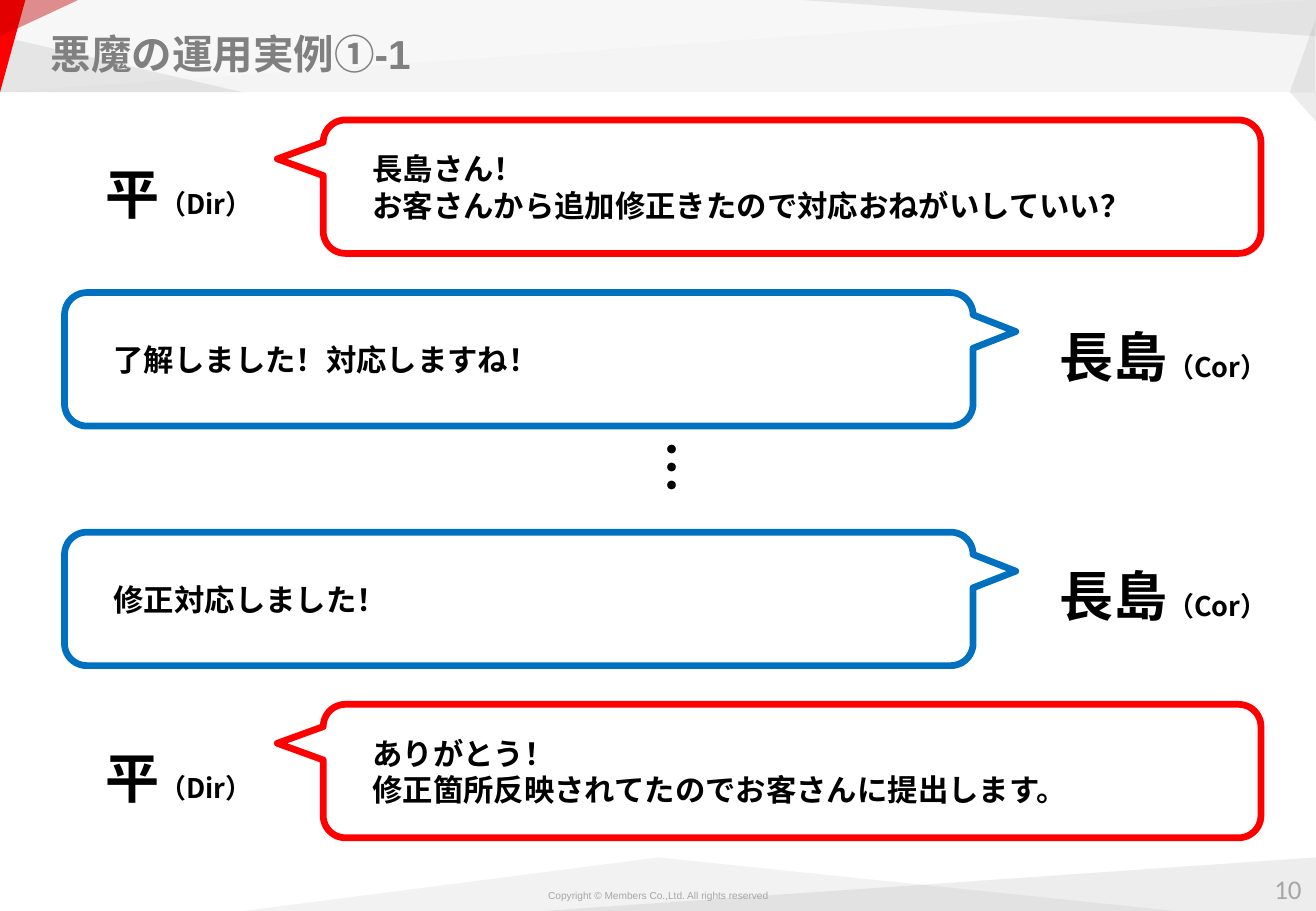
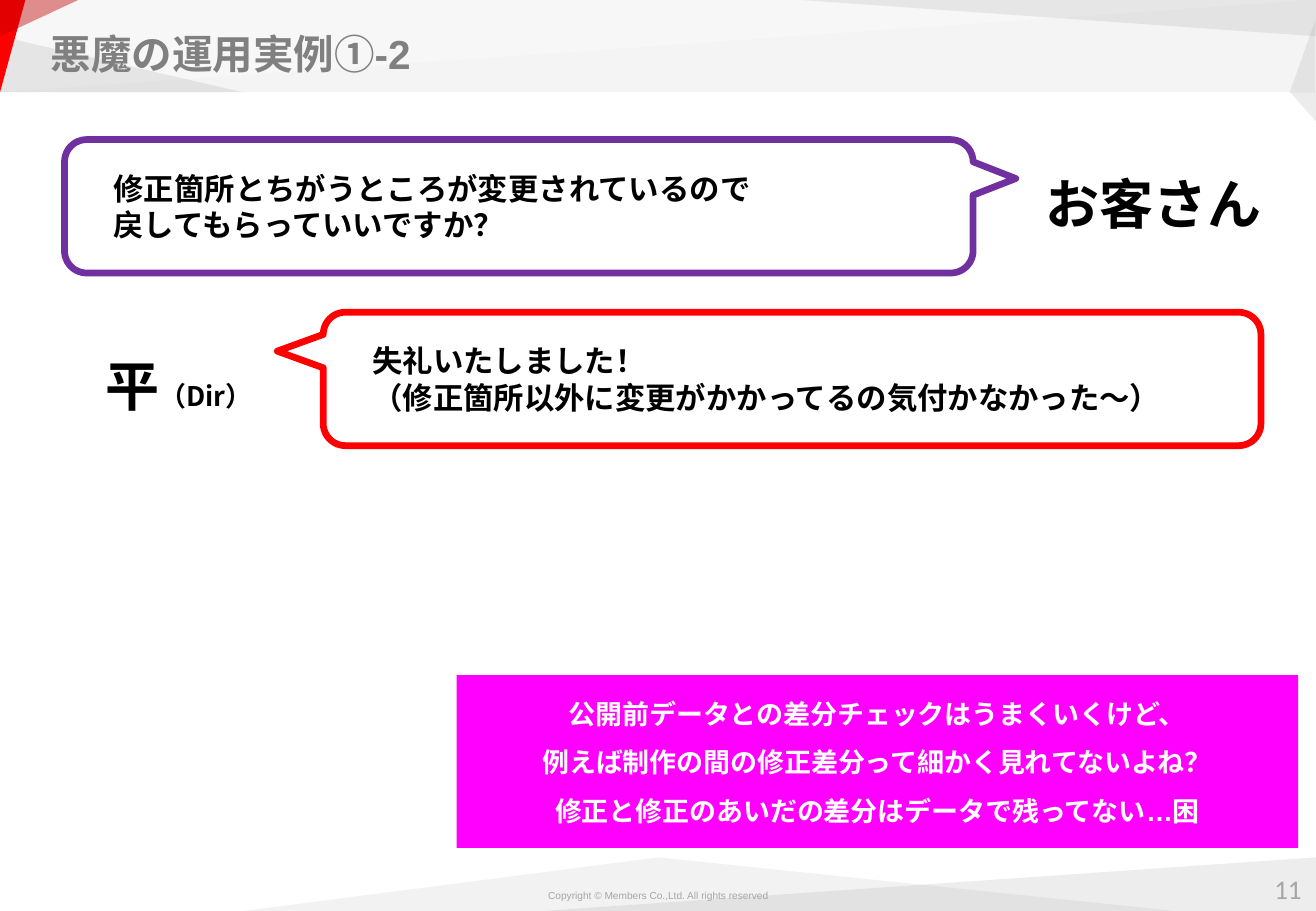
from dataclasses import dataclass

from lxml.etree import SubElement
from pptx import Presentation
from pptx.dml.color import RGBColor
from pptx.enum.shapes import MSO_SHAPE as SHAPE
from pptx.enum.text import MSO_ANCHOR as ANCHOR, MSO_AUTO_SIZE as AUTO, PP_ALIGN as ALIGN
from pptx.oxml.ns import qn
from pptx.util import Cm, Pt

WIDTH, HEIGHT = 27.52, 19.05
BAND_H, FLOOR_Y, FLOOR_H = 1.93, 17.93, 1.12
BUBBLE_H, LABEL_H = 2.79, 1.42
RED, BLUE, PURPLE, MAGENTA = "FF0000", "0070C0", "7030A0", "FF00FF"
BLACK, WHITE, GREY, PALE = "000000", "FFFFFF", "808080", "A6A6A6"
LATIN, JAPANESE, NUMERIC = "Arial", "Noto Sans CJK JP", "Calibri"

TRIANGLES = [
    ((11.37, FLOOR_Y, 16.15, FLOOR_H), GREY, 14, "H", 0),
    ((13.77, FLOOR_Y, 10.8, FLOOR_H), PALE, 14, "", 0),
    ((5.1, FLOOR_Y, 8.67, FLOOR_H), PALE, 14, "H", 0),
    ((0, 0, 20.9, BAND_H), WHITE, 36, "V", 0),
    ((0, 0, WIDTH, BAND_H), "BFBFBF", 12, "V", 0),
    ((0, 0, WIDTH, BAND_H), PALE, 12, "H", 0),
    ((16.73, 0, 10.79, 0.76), GREY, 14, "HV", 0),
    ((26.49, 0.91, 1.5, 0.53), GREY, 14, "", 270),
    ((0, 0.76, 5.08, 1.17), GREY, 15, "", 0),
    ((-0.7, 0.7, BAND_H, 0.53), RED, 100, "", 90),
    ((0.43, -0.43, 0.76, 1.63), "C00000", 43, "", 90),
    ((26.98, BAND_H, 0.54, 0.61), GREY, 15, "HV", 0),
]


@dataclass
class Speaker:
    """One side of the dialogue and how it is drawn."""
    name: str
    role: str
    color: str
    label_x: float
    label_dy: float
    bubble_x: float
    bubble_w: float
    tail: float


DIRECTOR = Speaker("平", "（Dir）", RED, 1.96, 0.81, 6.76, 19.61, -0.549)
CODER = Speaker("長島", "（Cor）", BLUE, 21.9, 0.61, 1.35, 19, 0.547)
CLIENT = Speaker("お客さん", "", PURPLE, 21.62, 0.61, 1.35, 19, 0.547)


def rgb(color):
    """Turn a hex string into a colour."""
    return RGBColor.from_string(color)


def box(x, y, w, h):
    """Turn a frame in centimetres into lengths."""
    return Cm(x), Cm(y), Cm(w), Cm(h)


def add_run(p, text, size, font, color, bold=True):
    """Append a formatted run to a paragraph."""
    r = p.add_run()
    r.text = text
    r.font.size, r.font.bold, r.font.name = Pt(size), bold, font
    r.font.color.rgb = rgb(color)
    SubElement(r._r.get_or_add_rPr(), qn("a:ea"), typeface=font)


def add_lines(tf, lines, size, font, color, align=ALIGN.LEFT, spacing=None, bold=True):
    """Write one paragraph for each line."""
    for i, line in enumerate(lines):
        p = tf.add_paragraph() if i else tf.paragraphs[0]
        p.alignment = align
        if spacing:
            p.line_spacing = spacing
        add_run(p, line, size, font, color, bold)


def set_margins(tf, margin):
    """Give all four sides of a text frame the same margin."""
    tf.margin_left = tf.margin_right = tf.margin_top = tf.margin_bottom = Cm(margin)


def add_filled(slide, kind, frame, fill):
    """Add a flat shape without outline."""
    sp = slide.shapes.add_shape(kind, *box(*frame))
    sp.shadow.inherit = False
    sp.fill.solid()
    sp.fill.fore_color.rgb = rgb(fill)
    sp.line.fill.background()
    return sp


def add_triangle(slide, frame, fill, opacity, flips, rotation):
    """Add a translucent right triangle."""
    sp = add_filled(slide, SHAPE.RIGHT_TRIANGLE, frame, fill)
    sp.rotation = rotation
    for axis in flips:
        sp._element.spPr.xfrm.set(f"flip{axis}", "1")
    if opacity < 100:
        color = sp._element.spPr.find(f"{qn('a:solidFill')}/{qn('a:srgbClr')}")
        SubElement(color, qn("a:alpha"), val=str(opacity * 1000))


def add_small_print(slide, frame, text, size, font):
    """Add a centred grey line for the footer."""
    tf = slide.shapes.add_textbox(*box(*frame)).text_frame
    set_margins(tf, 0)
    tf.word_wrap = False
    add_lines(tf, [text], size, font, PALE, ALIGN.CENTER, bold=False)


def decorate_layout(layout, slide):
    """Build the bands and the copyright line, then hand them to the layout."""
    before = len(slide.shapes)
    for triangle in TRIANGLES:
        add_triangle(slide, *triangle)
    add_small_print(slide, (11.43, 18.59, 4.67, 0.25),
                    "Copyright © Members Co.,Ltd. All rights reserved", 6, LATIN)
    for i, sp in enumerate(list(slide.shapes)[before:]):
        el = sp._element
        el.nvSpPr.cNvPr.set("id", str(100 + i))
        layout.shapes._spTree.insert(2 + i, el)


def add_page(prs, layout, title, number):
    """Add a slide with its title and page number."""
    slide = prs.slides.add_slide(layout)
    sp = slide.shapes.title
    sp.left, sp.top, sp.width, sp.height = box(0.76, 0.3, 25.91, 1.63)
    tf = sp.text_frame
    set_margins(tf, 0.3)
    tf.auto_size, tf.vertical_anchor = AUTO.NONE, ANCHOR.MIDDLE
    add_lines(tf, [title], 24, LATIN, GREY)
    add_small_print(slide, (26.44, 18.24, 0.99, 0.69), number, 16, NUMERIC)
    return slide


def add_label(slide, frame):
    """Add a middle-anchored text box and return it."""
    sp = slide.shapes.add_textbox(*box(*frame))
    sp.text_frame.word_wrap = True
    sp.text_frame.vertical_anchor = ANCHOR.MIDDLE
    return sp


def add_remark(slide, speaker, y, lines):
    """Add a speaker's name and speech bubble."""
    label = add_label(slide, (speaker.label_x, y + speaker.label_dy, 5.6, LABEL_H))
    p = label.text_frame.paragraphs[0]
    add_run(p, speaker.name, 32, JAPANESE, BLACK)
    if speaker.role:
        add_run(p, speaker.role, 16, JAPANESE, BLACK)

    frame = (speaker.bubble_x, y, speaker.bubble_w, BUBBLE_H)
    sp = add_filled(slide, SHAPE.ROUNDED_RECTANGULAR_CALLOUT, frame, WHITE)
    for i, value in enumerate((speaker.tail, -0.208, 0.167)):
        sp.adjustments[i] = value
    sp.line.color.rgb = rgb(speaker.color)
    sp.line.width = Pt(4)
    tf = sp.text_frame
    tf.margin_left = Cm(0.89)
    tf.vertical_anchor = ANCHOR.MIDDLE
    add_lines(tf, lines, 18, LATIN, BLACK)


def add_pause(slide):
    """Add the vertical ellipsis between two exchanges."""
    sp = add_label(slide, (12.47, 9.07, 3.2, LABEL_H))
    sp.rotation = 90
    add_lines(sp.text_frame, ["…"], 32, JAPANESE, BLACK, ALIGN.CENTER)


def add_comment_panel(slide, lines):
    """Add the magenta panel with the closing comment."""
    tf = add_filled(slide, SHAPE.RECTANGLE, (9.55, 14.12, 17.6, 3.61), MAGENTA).text_frame
    tf.vertical_anchor = ANCHOR.TOP
    add_lines(tf, lines, 16, LATIN, WHITE, ALIGN.CENTER, spacing=1.5)


def main():
    """Build and save the two slides."""
    prs = Presentation()
    prs.slide_width, prs.slide_height = Cm(WIDTH), Cm(HEIGHT)
    layout = prs.slide_layouts.get_by_name("Title Only")

    request = add_page(prs, layout, "悪魔の運用実例①-1", "10")
    decorate_layout(layout, request)
    add_remark(request, DIRECTOR, 2.51,
               ["長島さん！", "お客さんから追加修正きたので対応おねがいしていい？"])
    add_remark(request, CODER, 6.12, ["了解しました！対応しますね！"])
    add_pause(request)
    add_remark(request, CODER, 11.13, ["修正対応しました！"])
    add_remark(request, DIRECTOR, 14.73,
               ["ありがとう！", "修正箇所反映されてたのでお客さんに提出します。"])

    complaint = add_page(prs, layout, "悪魔の運用実例①-2", "11")
    add_remark(complaint, CLIENT, 2.92,
               ["修正箇所とちがうところが変更されているので", "戻してもらっていいですか？"])
    add_remark(complaint, DIRECTOR, 6.53,
               ["失礼いたしました！", "（修正箇所以外に変更がかかってるの気付かなかった～）"])
    add_comment_panel(complaint, [
        "公開前データとの差分チェックはうまくいくけど、",
        "例えば制作の間の修正差分って細かく見れてないよね？",
        "修正と修正のあいだの差分はデータで残ってない…困",
    ])
    prs.save("out.pptx")


if __name__ == "__main__":
    main()
